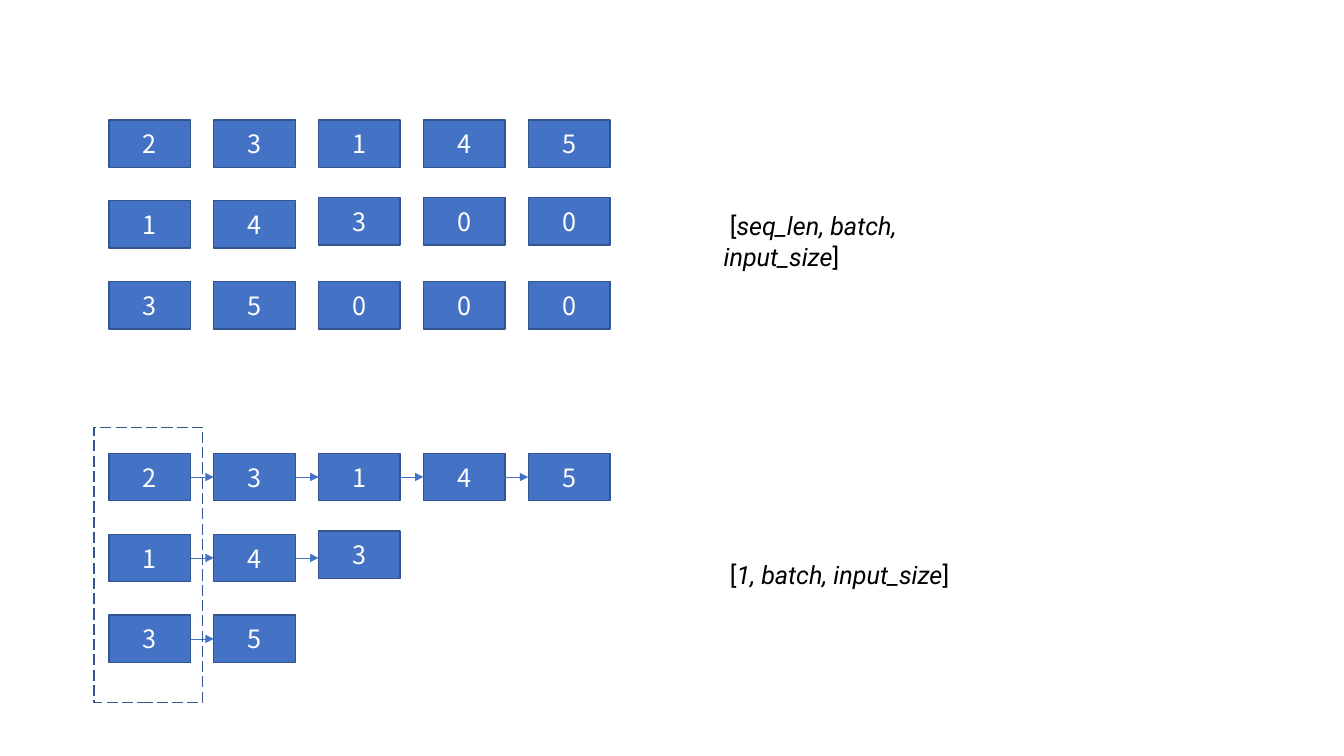
from lxml import etree
from pptx import Presentation
from pptx.dml.color import RGBColor
from pptx.enum import dml, shapes, text
from pptx.oxml.ns import qn
from pptx.util import Pt

PADDED = [[2, 3, 1, 4, 5], [1, 4, 3, 0, 0], [3, 5, 0, 0, 0]]
PACKED = [[2, 3, 1, 4, 5], [1, 4, 3], [3, 5]]
GRIDS = [(PADDED, 85.6, False), (PACKED, 323.8, True)]
LABELS = [
    ("seq_len, batch, input_size", 146.9, 223.2),
    ("1, batch, input_size", 396, 229),
]
BLUE, EDGE, WHITE, BLACK = "4472C4", "325491", "FFFFFF", "000000"
LEFT, COLUMN_STEP, ROW_STEP = 77.8, 74.88, 57.8
CELL_WIDTH, CELL_HEIGHT = 58.3, 33.9
MIDDLE_ROW, RAISED_FROM, RAISE = 1, 2, 2.3
LABEL_LEFT, LABEL_HEIGHT = 509.8, 28.8
BATCH_FRAME = (67, 305.3, 77.8, 196.6)


def color(code):
    return RGBColor.from_string(code)


def style_font(font, name, code):
    font.name = name
    font.size = Pt(18)
    font.color.rgb = color(code)


def add_box(left, top, width, height):
    box = slide.shapes.add_shape(
        shapes.MSO_SHAPE.RECTANGLE, Pt(left), Pt(top), Pt(width), Pt(height))
    box.shadow.inherit = False
    box.line.color.rgb = color(EDGE)
    box.line.width = Pt(1)
    return box


def add_cell(value, left, top):
    box = add_box(left, top, CELL_WIDTH, CELL_HEIGHT)
    box.fill.solid()
    box.fill.fore_color.rgb = color(BLUE)
    box.text_frame.vertical_anchor = text.MSO_ANCHOR.MIDDLE
    para = box.text_frame.paragraphs[0]
    para.text = str(value)
    para.alignment = text.PP_ALIGN.CENTER
    style_font(para.font, "Noto Sans CJK SC", WHITE)


def add_arrow(start, end, y):
    arrow = slide.shapes.add_connector(
        shapes.MSO_CONNECTOR.STRAIGHT, Pt(start), Pt(y), Pt(end), Pt(y))
    arrow.line.color.rgb = color(BLUE)
    arrow.line.width = Pt(0.5)
    properties = arrow._element.spPr
    outline = properties.find(qn("a:ln"))
    etree.SubElement(outline, qn("a:tailEnd"), type="triangle")
    etree.SubElement(properties, qn("a:effectLst"))


def add_grid(rows, top, linked):
    for row, values in enumerate(rows):
        y = top + row * ROW_STEP
        for column, value in enumerate(values):
            x = LEFT + column * COLUMN_STEP
            raised = row == MIDDLE_ROW and column >= RAISED_FROM
            add_cell(value, x, y - RAISE * raised)
            if linked and column:
                add_arrow(x - COLUMN_STEP + CELL_WIDTH, x, y + CELL_HEIGHT / 2)


def add_label(words, top, width):
    box = slide.shapes.add_textbox(
        Pt(LABEL_LEFT), Pt(top), Pt(width), Pt(LABEL_HEIGHT))
    box.text_frame.word_wrap = True
    para = box.text_frame.paragraphs[0]
    style_font(para.font, "Roboto", BLACK)
    for part, italic in [(" [", False), (words, True), ("]", False)]:
        span = para.add_run()
        span.text = part
        span.font.italic = italic


deck = Presentation()
deck.slide_width, deck.slide_height = Pt(960), Pt(540)
slide = deck.slides.add_slide(deck.slide_layouts[6])
for grid in GRIDS:
    add_grid(*grid)
for label in LABELS:
    add_label(*label)
frame = add_box(*BATCH_FRAME)
frame.fill.background()
frame.line.dash_style = dml.MSO_LINE.LONG_DASH
deck.save("out.pptx")
